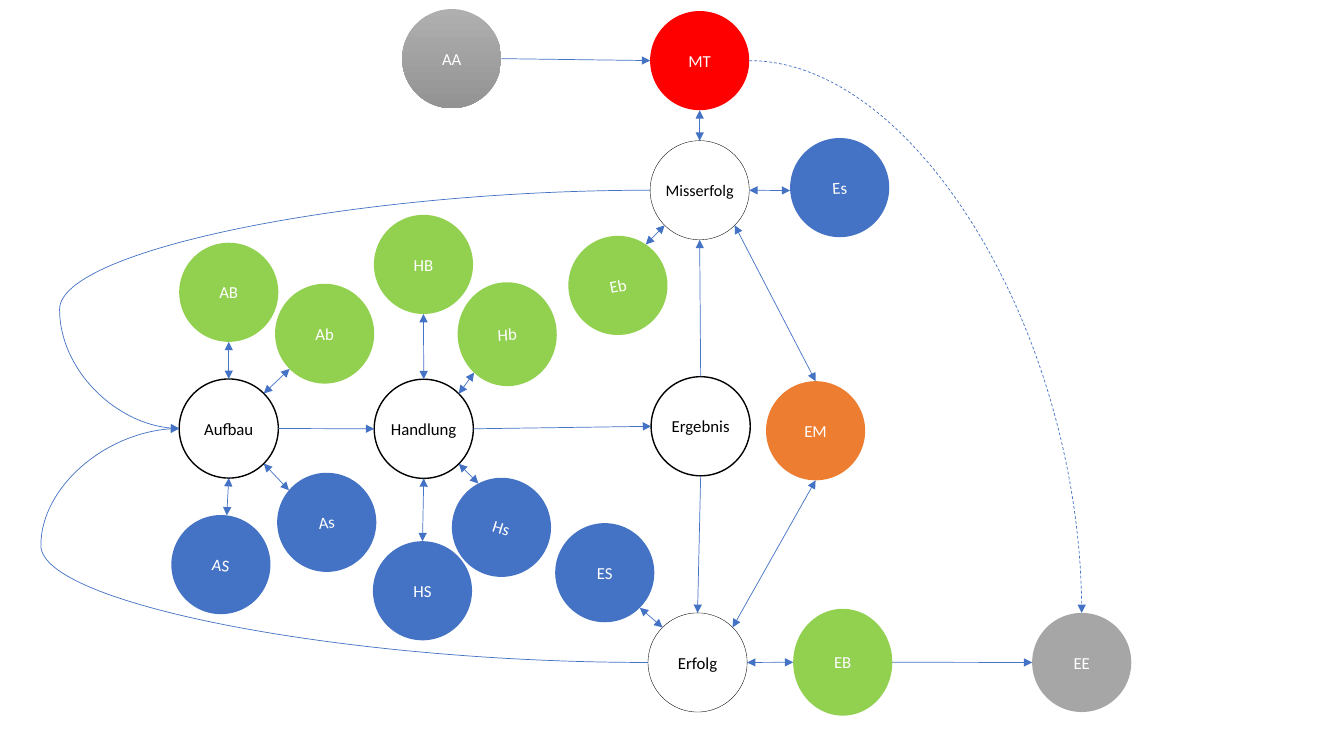
import math
from dataclasses import dataclass

import pptx
import pptx.dml.color
import pptx.enum.dml
import pptx.enum.shapes
import pptx.enum.text
import pptx.oxml.ns
import pptx.util
from lxml import etree

COLORS = {
    "red": "FF0000",
    "green": "92D050",
    "blue": "4472C4",
    "orange": "ED7D31",
    "gray": "A6A6A6",
    "gray_top": "AFAFAF",
    "gray_bottom": "939393",
    "white": "FFFFFF",
    "black": "000000",
}
DIAMETER = 70.8
LINK_WIDTH = 0.5

# Direction of each attachment site, clockwise from the right, in degrees
SITES = {
    "right": 0, "bottom right": 45, "bottom": 90, "bottom left": 135,
    "left": 180, "top left": 225, "top": 270, "top right": 315,
}


@dataclass
class Circle:
    label: str
    left: float
    top: float
    fill: str
    rotation: float = 0
    height: float = DIAMETER
    outline: float = 0
    font_size: float = 12

    def site(self, name: str) -> tuple[float, float]:
        """Return the attachment point, turned along with the circle."""
        angle, turn = math.radians(SITES[name]), math.radians(self.rotation)
        x = DIAMETER / 2 * math.cos(angle)
        y = self.height / 2 * math.sin(angle)
        return (
            self.left + DIAMETER / 2 + x * math.cos(turn) - y * math.sin(turn),
            self.top + self.height / 2 + x * math.sin(turn) + y * math.cos(turn),
        )


@dataclass
class Link:
    start: str
    start_site: str
    end: str
    end_site: str
    both_ways: bool = True
    curve: str = ""
    bend: int = 0
    dashed: bool = False


CIRCLES = [
    Circle("MT", 464.4, 7.9, "red"),
    Circle("AA", 287.3, 6.5, "gradient"),
    Circle("Handlung", 267.3, 270.9, "white", outline=1),
    Circle("AB", 128, 173.4, "green"),
    Circle("AS", 122.4, 367.9, "blue", rotation=6.8),
    Circle("EE", 737.3, 437.8, "gray"),
    Circle("Ab", 196.5, 202.7, "green", height=71.3),
    Circle("Ergebnis", 465.1, 269.1, "white", outline=1),
    Circle("Misserfolg", 464.4, 100.5, "white", outline=0.25, font_size=11.5),
    Circle("Erfolg", 462.9, 437.8, "white", outline=0.25),
    Circle("EM", 547.2, 272.3, "orange"),
    Circle("ES", 396.6, 373.7, "blue"),
    Circle("EB", 566.6, 434.9, "green", height=76.3),
    Circle("Aufbau", 128, 270.7, "white", outline=1),
    Circle("Hb", 326.9, 201.6, "green", rotation=-2.9, height=74.2),
    Circle("HB", 267.1, 153.5, "green"),
    Circle("HS", 266.4, 386.6, "blue"),
    Circle("Hs", 322.8, 341.3, "blue", rotation=17.3),
    Circle("As", 198, 337.7, "blue", rotation=-4.7),
    Circle("Es", 564.4, 98.6, "blue", rotation=-3.4),
    Circle("Eb", 406, 168.5, "green", rotation=-10.8),
]

LINKS = [
    # Main flow
    Link("AA", "right", "MT", "left", False),
    Link("Aufbau", "right", "Handlung", "left", False),
    Link("Handlung", "right", "Ergebnis", "left", False),
    Link("Ergebnis", "top", "Misserfolg", "bottom", False),
    Link("Ergebnis", "bottom", "Erfolg", "top", False),
    Link("EB", "right", "EE", "left", False),
    # Two-way exchanges
    Link("MT", "bottom", "Misserfolg", "top"),
    Link("AB", "bottom", "Aufbau", "top"),
    Link("Ab", "bottom left", "Aufbau", "top right"),
    Link("AS", "top", "Aufbau", "bottom"),
    Link("As", "top left", "Aufbau", "bottom right"),
    Link("HB", "bottom", "Handlung", "top"),
    Link("Hb", "bottom left", "Handlung", "top right"),
    Link("Handlung", "bottom", "HS", "top"),
    Link("Hs", "top left", "Handlung", "bottom right"),
    Link("Eb", "top right", "Misserfolg", "bottom left"),
    Link("Es", "left", "Misserfolg", "right"),
    Link("Misserfolg", "bottom right", "EM", "top"),
    Link("EM", "bottom", "Erfolg", "top right"),
    Link("ES", "bottom right", "Erfolg", "top left"),
    Link("EB", "left", "Erfolg", "right"),
    # Curved feedback paths
    Link("Misserfolg", "left", "Aufbau", "left", False, "curvedConnector3", 125400),
    Link("Erfolg", "left", "Aufbau", "left", False, "curvedConnector3", 129500),
    Link("MT", "right", "EE", "top", False, "curvedConnector2", dashed=True),
]


def rgb(name: str) -> pptx.dml.color.RGBColor:
    return pptx.dml.color.RGBColor.from_string(COLORS[name])


def apply(target: object, values: dict) -> None:
    for name, value in values.items():
        setattr(target, name, value)


def draw_circle(slide: pptx.slide.Slide, circle: Circle) -> None:
    shape = slide.shapes.add_shape(
        pptx.enum.shapes.MSO_SHAPE.FLOWCHART_CONNECTOR,
        *map(pptx.util.Pt, (circle.left, circle.top, DIAMETER, circle.height)),
    )
    shape.rotation = circle.rotation
    shape.shadow.inherit = False

    # Fill and outline
    if circle.fill == "gradient":
        shape.fill.gradient()
        shape.fill.gradient_angle = 270
        for stop, name in zip(shape.fill.gradient_stops, ("gray_top", "gray_bottom")):
            stop.color.rgb = rgb(name)
    else:
        shape.fill.solid()
        shape.fill.fore_color.rgb = rgb(circle.fill)
    if circle.outline:
        shape.line.color.rgb = rgb("black")
        shape.line.width = pptx.util.Pt(circle.outline)
    else:
        shape.line.fill.background()

    # Label
    frame = shape.text_frame
    apply(frame, {
        "margin_left": 0, "margin_top": 0, "margin_right": 0, "margin_bottom": 0,
        "word_wrap": False, "vertical_anchor": pptx.enum.text.MSO_ANCHOR.MIDDLE,
    })
    paragraph = frame.paragraphs[0]
    paragraph.alignment = pptx.enum.text.PP_ALIGN.CENTER
    run = paragraph.add_run()
    run.text = circle.label
    apply(run.font, {"name": "Calibri", "size": pptx.util.Pt(circle.font_size)})
    run.font.color.rgb = rgb("black" if circle.fill == "white" else "white")


def draw_link(slide: pptx.slide.Slide, link: Link, circles: dict[str, Circle]) -> None:
    kinds = pptx.enum.shapes.MSO_CONNECTOR
    start = circles[link.start].site(link.start_site)
    end = circles[link.end].site(link.end_site)
    connector = slide.shapes.add_connector(
        kinds.CURVE if link.curve else kinds.STRAIGHT, *map(pptx.util.Pt, start + end)
    )
    connector.line.color.rgb = rgb("blue")
    connector.line.width = pptx.util.Pt(LINK_WIDTH)
    if link.dashed:
        connector.line.dash_style = pptx.enum.dml.MSO_LINE.DASH

    # Curve shape, arrowheads and no shadow
    qn = pptx.oxml.ns.qn
    properties = connector._element.spPr
    if link.curve:
        geometry = properties.find(qn("a:prstGeom"))
        geometry.set("prst", link.curve)
        if link.bend:
            guide = etree.SubElement(geometry.find(qn("a:avLst")), qn("a:gd"))
            guide.set("name", "adj1")
            guide.set("fmla", f"val {link.bend}")
    line = properties.find(qn("a:ln"))
    for tag in ("a:headEnd", "a:tailEnd") if link.both_ways else ("a:tailEnd",):
        etree.SubElement(line, qn(tag)).set("type", "triangle")
    etree.SubElement(properties, qn("a:effectLst"))


def main() -> None:
    presentation = pptx.Presentation()
    apply(presentation, {"slide_width": pptx.util.Pt(960), "slide_height": pptx.util.Pt(540)})
    slide = presentation.slides.add_slide(presentation.slide_layouts[6])
    for circle in CIRCLES:
        draw_circle(slide, circle)
    circles = {circle.label: circle for circle in CIRCLES}
    for link in LINKS:
        draw_link(slide, link, circles)
    presentation.save("out.pptx")


if __name__ == "__main__":
    main()
